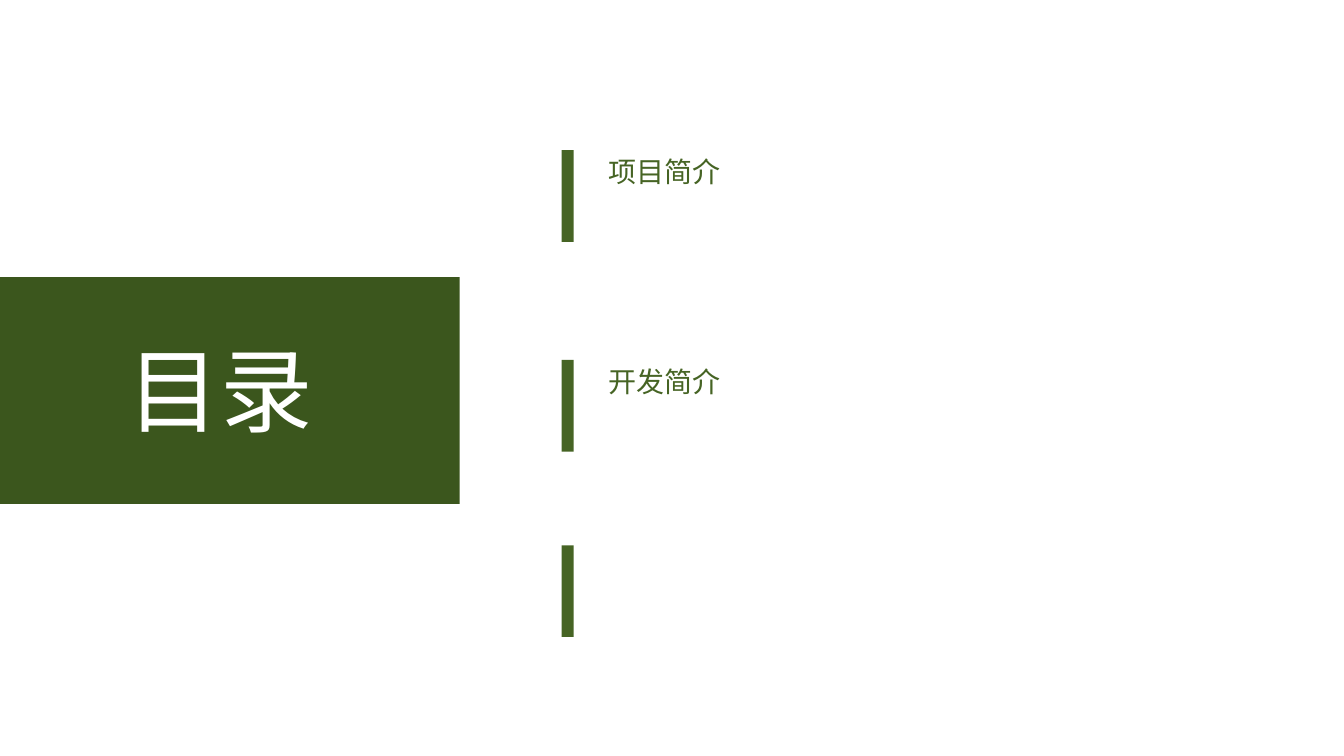
"""Build a contents slide with a green title block and marked entries."""
from lxml import etree
from pptx import Presentation
from pptx.dml.color import RGBColor
from pptx.enum.shapes import MSO_SHAPE
from pptx.enum.text import MSO_ANCHOR, PP_ALIGN
from pptx.oxml.ns import qn
from pptx.util import Inches, Pt

RECTANGLE = MSO_SHAPE.RECTANGLE
MIDDLE, BOTTOM = MSO_ANCHOR.MIDDLE, MSO_ANCHOR.BOTTOM
LEFT, CENTER = PP_ALIGN.LEFT, PP_ALIGN.CENTER
FONT = "Noto Sans CJK SC"
DARK_GREEN, GREEN, WHITE = "3B561D", "466424", "FFFFFF"


def add_block(page, left, top, width, height, color):
    block = page.shapes.add_shape(
        RECTANGLE, Inches(left), Inches(top), Inches(width), Inches(height))
    block.shadow.inherit = False
    block.fill.solid()
    block.fill.fore_color.rgb = RGBColor.from_string(color)
    block.line.fill.background()


def add_label(page, left, top, width, height, text, size, color, anchor, align):
    box = page.shapes.add_textbox(
        Inches(left), Inches(top), Inches(width), Inches(height))
    frame = box.text_frame
    frame.word_wrap = True
    frame.vertical_anchor = anchor
    frame.text = text
    para = frame.paragraphs[0]
    para.alignment = align
    span = para.runs[0]
    span.font.size = Pt(size)
    span.font.name = FONT
    span.font.color.rgb = RGBColor.from_string(color)
    east_asian = etree.SubElement(span._r.get_or_add_rPr(), qn("a:ea"))
    east_asian.set("typeface", FONT)
    return frame


deck = Presentation()
deck.slide_width, deck.slide_height = Inches(13.33), Inches(7.5)
page = deck.slides.add_slide(deck.slide_layouts[6])

add_block(page, 0, 2.75, 4.56, 2.25, DARK_GREEN)
add_label(page, 0, 2.91, 4.37, 1.89, "目录", 66, WHITE, MIDDLE, CENTER)

for bar_top, entry in [(1.49, "项目简介"), (3.57, "开发简介"), (5.41, None)]:
    if entry:
        frame = add_label(page, 5.94, bar_top - 0.29, 5.65, 0.69,
                          entry, 20, GREEN, BOTTOM, LEFT)
        frame.margin_bottom = Inches(0.02)
    add_block(page, 5.57, bar_top, 0.12, 0.91, GREEN)

deck.save("out.pptx")
